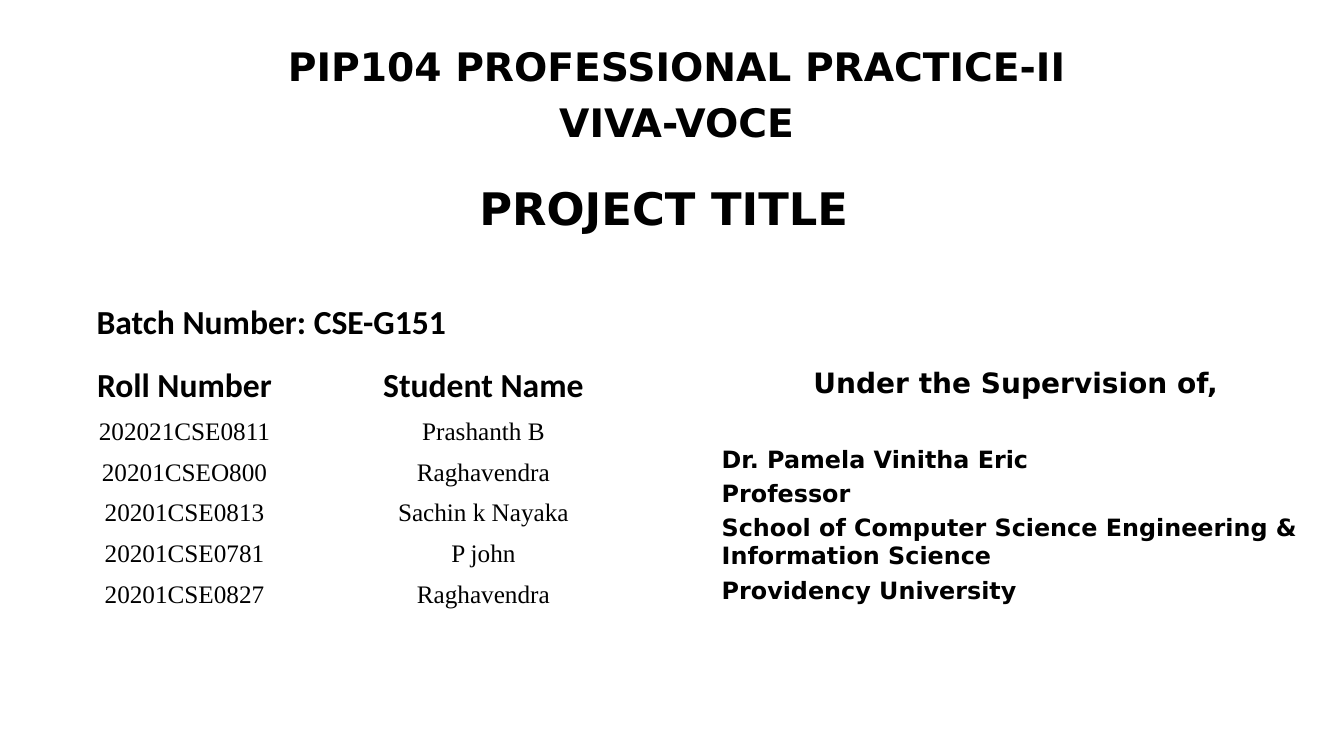
from pptx import Presentation
from pptx.dml.color import RGBColor
from pptx.enum.text import MSO_ANCHOR as Anchor, PP_ALIGN as Align
from pptx.util import Inches, Pt

BLACK = RGBColor(0x00, 0x00, 0x00)
DISPLAY, BODY, SERIF = "DejaVu Sans", "Calibri", "Times New Roman"

STUDENTS = [
    ("Roll Number", "Student Name"),
    ("202021CSE0811", "Prashanth B"),
    ("20201CSEO800", "Raghavendra"),
    ("20201CSE0813", "Sachin k Nayaka"),
    ("20201CSE0781", "P john"),
    ("20201CSE0827", "Raghavendra"),
]
SUPERVISOR = [
    "Dr. Pamela Vinitha Eric",
    "Professor",
    "School of Computer Science Engineering & Information Science",
    "Providency University",
]


class TitleSlide:
    """Places elements on a grid of 100 columns by 100 rows."""

    def __init__(self, prs):
        self.s = prs.slides.add_slide(prs.slide_layouts[6])
        self.col = prs.slide_width / 100
        self.row = prs.slide_height / 100

    def box(self, left, top, width, height):
        return (round(left * self.col), round(top * self.row),
                round(width * self.col), round(height * self.row))

    def fill_line(self, p, text, size, name=DISPLAY, bold=True, **layout):
        """Put one styled run in paragraph p."""
        r = p.add_run()
        r.text = text
        for key, value in dict(size=Pt(size), name=name, bold=bold).items():
            setattr(r.font, key, value)
        r.font.color.rgb = BLACK
        for key, value in layout.items():
            setattr(p, key, value)

    def text(self, box, lines, anchor=Anchor.TOP):
        """Each line is a dict of arguments for fill_line."""
        tf = self.s.shapes.add_textbox(*self.box(*box)).text_frame
        tf.word_wrap = True
        tf.vertical_anchor = anchor
        for i, line in enumerate(lines):
            p = tf.add_paragraph() if i else tf.paragraphs[0]
            self.fill_line(p, **line)

    def table(self, left, top, widths, header_height, row_height, rows):
        height = header_height + row_height * (len(rows) - 1)
        box = self.box(left, top, sum(widths), height)
        table = self.s.shapes.add_table(len(rows), len(widths), *box).table
        table.first_row = table.horz_banding = False
        for column, width in zip(table.columns, widths):
            column.width = round(width * self.col)
        for i, values in enumerate(rows):
            style = dict(size=18, name=SERIF, bold=False) if i else dict(size=24, name=BODY)
            table.rows[i].height = round((row_height if i else header_height) * self.row)
            for cell, value in zip(table.rows[i].cells, values):
                cell.fill.background()
                cell.vertical_anchor = Anchor.MIDDLE
                self.fill_line(cell.text_frame.paragraphs[0], value,
                               alignment=Align.CENTER, **style)


def main():
    prs = Presentation()
    prs.slide_width, prs.slide_height = Inches(13.33), Inches(7.5)
    slide = TitleSlide(prs)
    slide.text((6.9, 23.33, 85, 8.4),
               [dict(text="PROJECT TITLE", size=32, alignment=Align.CENTER, line_spacing=0.9)],
               Anchor.BOTTOM)
    slide.text((6.45, 39.73, 32.56, 8),
               [dict(text="Batch Number: CSE-G151", size=24, name=BODY, line_spacing=0.9)])
    slide.table(5.18, 47.73, (17.1, 27.38), 6.67, 5.4, STUDENTS)
    slide.text((52.96, 47.73, 45.24, 35.47),
               [dict(text="Under the Supervision of,", size=20, alignment=Align.CENTER)]
               + [dict(text=line, size=17, space_before=Pt(4 if i else 32))
                  for i, line in enumerate(SUPERVISOR)])
    slide.text((6.45, 4.93, 87.77, 15.07),
               [dict(text=line, size=28, alignment=Align.CENTER, space_before=Pt(6.5))
                for line in ("PIP104 PROFESSIONAL PRACTICE-II", "VIVA-VOCE")])
    prs.save("out.pptx")


if __name__ == "__main__":
    main()
